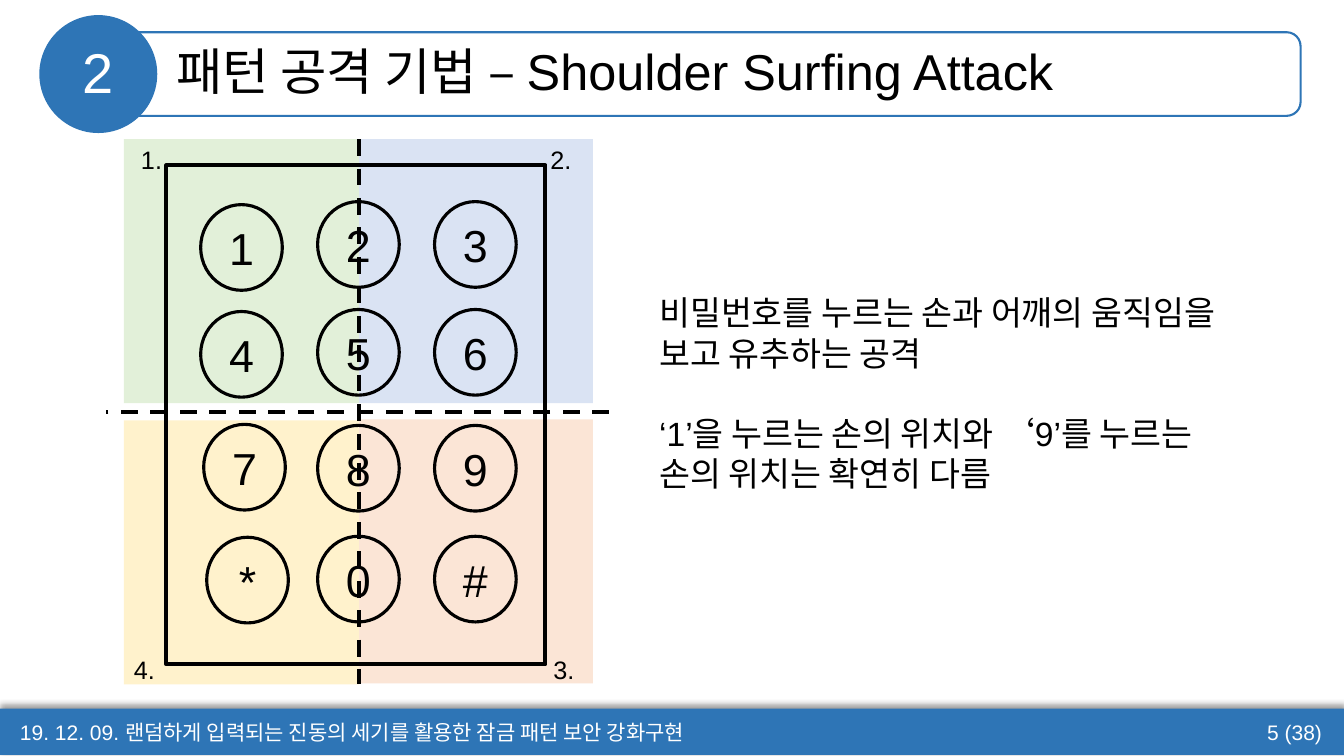
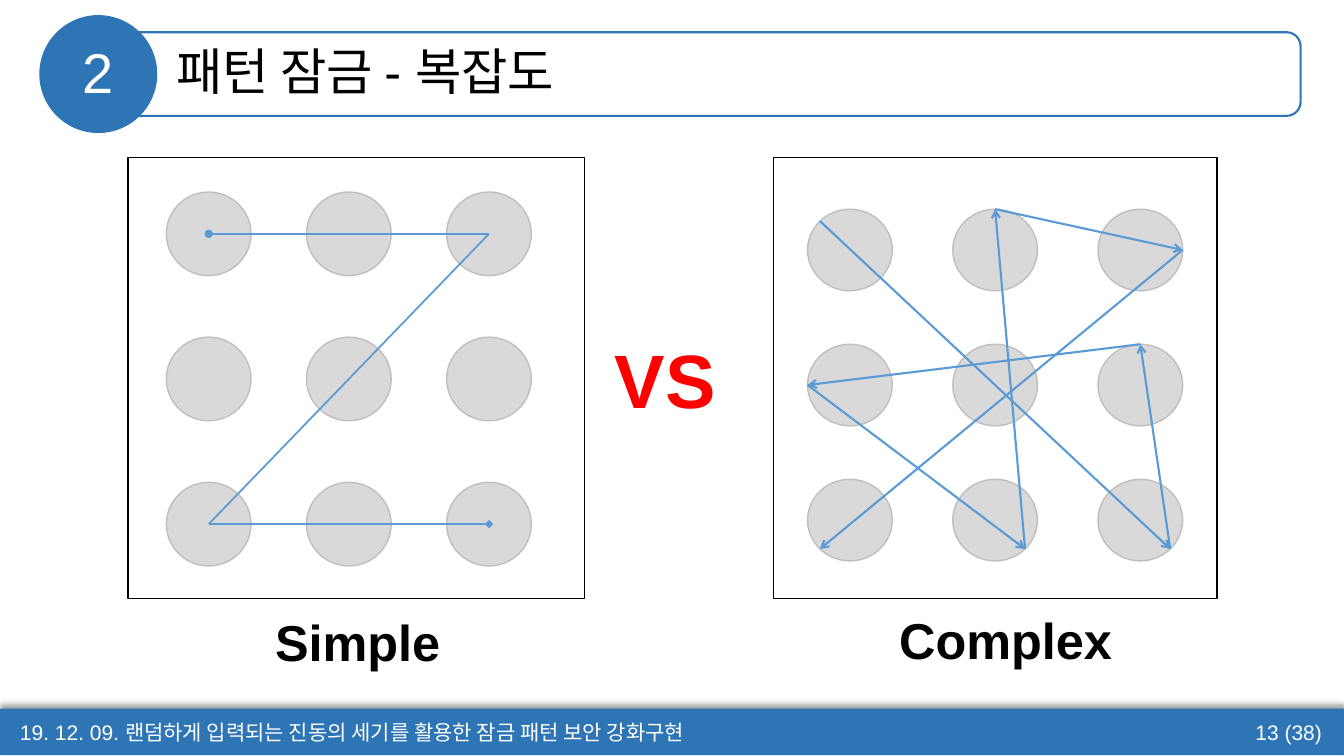
from itertools import pairwise, product
from math import cos, radians, sin

from lxml.etree import SubElement
from pptx import Presentation
from pptx.dml.color import RGBColor
from pptx.enum.dml import MSO_LINE as Dash
from pptx.enum.shapes import MSO_CONNECTOR as Link, MSO_SHAPE as Form
from pptx.enum.text import MSO_ANCHOR as Anchor, PP_ALIGN as Align
from pptx.oxml.ns import qn
from pptx.util import Inches, Pt

FONT = "Arial"
BLUE, SKY, RED = "2E75B6", "5B9BD5", "FF0000"
BLACK, WHITE, GREY, RIM = "000000", "FFFFFF", "D9D9D9", "BFBFBF"
FOOTER = "19. 12. 09. 랜덤하게 입력되는 진동의 세기를 활용한 잠금 패턴 보안 강화구현"


def color(code):
    return RGBColor.from_string(code)


class Deck:
    """Holds the shared style and the slide being filled."""

    def __init__(self):
        self.prs = Presentation()
        self.prs.slide_width, self.prs.slide_height = Inches(13.33), Inches(7.5)
        self.slide = None

    def page(self, title, part, number):
        """Start a slide with its footer band and title banner."""
        self.slide = self.prs.slides.add_slide(self.prs.slide_layouts[6])
        band = self.shape(Form.RECTANGLE, 0, 7.03, 13.33, 0.46, fill=BLUE)
        self.shade(band)
        self.text(FOOTER, 0.1, 7.09, 7.54, 0.35, 15, WHITE)
        self.text(f"{number} (38)", 9.31, 7.09, 3.9, 0.35, 15, WHITE,
                  align=Align.RIGHT)
        self.shape(Form.OVAL, 0.39, 0.15, 1.17, 1.17, fill=BLUE)
        self.shape(Form.ROUNDED_RECTANGLE, 1.13, 0.32, 11.77, 0.83,
                   line=BLUE, weight=1.5)
        self.text(part, 0.68, 0.45, 0.59, 0.59, 40, WHITE,
                  align=Align.CENTER, anchor=Anchor.MIDDLE, space=0.9)
        self.text(title, 1.65, 0.34, 11.26, 0.8, 36,
                  anchor=Anchor.MIDDLE, space=0.9)

    def shade(self, shape):
        """Cast a soft shadow upwards."""
        effects = shape._element.spPr.find(qn("a:effectLst"))
        outer = SubElement(effects, qn("a:outerShdw"), blurRad=str(Pt(4)),
                           dist=str(Pt(3)), dir="16200000", rotWithShape="0")
        tint = SubElement(outer, qn("a:srgbClr"), val=BLACK)
        SubElement(tint, qn("a:alpha"), val="40000")

    def shape(self, form, x, y, w, h, fill=None, line=None, weight=1):
        item = self.slide.shapes.add_shape(
            form, Inches(x), Inches(y), Inches(w), Inches(h))
        item.shadow.inherit = False
        if fill:
            item.fill.solid()
            item.fill.fore_color.rgb = color(fill)
        else:
            item.fill.background()
        if line:
            item.line.color.rgb = color(line)
            item.line.width = Pt(weight)
        else:
            item.line.fill.background()
        return item

    def label(self, frame, text, size, ink=BLACK, bold=False,
              align=Align.LEFT, anchor=Anchor.TOP, space=None, gap=0):
        """Fill a text frame; each line of the text is a paragraph."""
        frame.word_wrap = True
        frame.vertical_anchor = anchor
        frame.text = text
        for i, para in enumerate(frame.paragraphs):
            para.alignment = align
            if space:
                para.line_spacing = space
            if i and gap:
                para.space_before = Pt(gap)
            font = para.font
            font.name, font.size, font.bold = FONT, Pt(size), bold
            font.color.rgb = color(ink)

    def text(self, text, x, y, w, h, size, ink=BLACK, **style):
        box = self.slide.shapes.add_textbox(
            Inches(x), Inches(y), Inches(w), Inches(h))
        self.label(box.text_frame, text, size, ink, **style)

    def key(self, sign, x, y):
        item = self.shape(Form.OVAL, x, y, 0.81, 0.85, line=BLACK, weight=2.25)
        self.label(item.text_frame, sign, 32,
                   align=Align.CENTER, anchor=Anchor.MIDDLE)

    def line(self, start, end, ink, weight, dash=None, head=None, tail=None):
        item = self.slide.shapes.add_connector(
            Link.STRAIGHT, *(Inches(v) for v in (*start, *end)))
        item.line.color.rgb = color(ink)
        item.line.width = Pt(weight)
        if dash:
            item.line.dash_style = dash
        props = item._element.spPr
        for tag, kind in (("a:headEnd", head), ("a:tailEnd", tail)):
            if kind:
                SubElement(props.find(qn("a:ln")), qn(tag), type=kind)
        SubElement(props, qn("a:effectLst"))

    def dots(self, x, y, dx, dy, w, h):
        """Draw 3 x 3 dots, the first centred on (x, y)."""
        for row, col in product(range(3), repeat=2):
            self.shape(Form.OVAL, x + col * dx - w / 2, y + row * dy - h / 2,
                       w, h, fill=GREY, line=RIM)


def keypad(deck):
    deck.page("패턴 공격 기법 – Shoulder Surfing Attack", "2", 5)
    for x, y, fill in ((3.55, 4.16, "FBE5D6"), (1.23, 4.17, "FFF2CC"),
                       (3.55, 1.38, "DAE3F3"), (1.23, 1.38, "E2F0D9")):
        deck.shape(Form.RECTANGLE, x, y, 2.33, 2.62, fill=fill)
    deck.shape(Form.RECTANGLE, 1.65, 1.64, 3.76, 4.95, line=BLACK, weight=3)
    for mark, x, y in (("1.", 1.3, 1.38), ("2.", 5.36, 1.38),
                       ("3.", 5.39, 6.44), ("4.", 1.23, 6.44)):
        deck.text(mark, x, y, 0.49, 0.51, 18)

    # The left column of keys sits slightly off the grid.
    rows = (("123", 1.99, 2.03, 2), ("456", 1.99, 3.09, 3.07),
            ("789", 2.02, 4.21, 4.22), ("*0#", 2.05, 5.33, 5.32))
    for signs, left, first, top in rows:
        spots = ((left, first), (3.15, top), (4.31, top))
        for sign, spot in zip(signs, spots):
            deck.key(sign, *spot)

    deck.line((3.56, 1.38), (3.56, 6.79), BLACK, 3, Dash.DASH)
    deck.line((6.04, 4.09), (1.05, 4.09), BLACK, 3, Dash.DASH)
    deck.text("비밀번호를 누르는 손과 어깨의 움직임을 보고 유추하는 공격\n"
              "‘1’을 누르는 손의 위치와 ‘9’를 누르는\v손의 위치는 확연히 다름",
              6.44, 2.85, 6.26, 2.12, 24, gap=28.7)


def simple(deck):
    x, y, dx, dy = 2.07, 2.32, 1.39, 1.44
    deck.shape(Form.RECTANGLE, 1.27, 1.56, 4.53, 4.38, fill=WHITE, line=BLACK)
    deck.dots(x, y, dx, dy, 0.84, 0.83)
    right, low = x + 2 * dx, y + 2 * dy
    deck.line((x, y), (right, y), SKY, 1.25, head="oval")
    deck.line((x, low), (right, low), SKY, 1.25, tail="diamond")
    deck.line((right, y), (x, low), SKY, 1.25)
    deck.text("Simple", 2.63, 6.01, 2.22, 0.71, 36, bold=True)


def tangled(deck):
    x, y, dx, dy, w, h = 8.43, 2.48, 1.44, 1.34, 0.84, 0.81
    deck.shape(Form.RECTANGLE, 7.67, 1.56, 4.4, 4.38, fill=WHITE, line=BLACK)
    deck.dots(x, y, dx, dy, w, h)

    def rim(row, col, angle):
        """Point on a dot's edge, clockwise from the right."""
        turn = radians(angle)
        return (x + col * dx + w / 2 * cos(turn),
                y + row * dy + h / 2 * sin(turn))

    stops = ((0, 0, 225), (2, 2, 45), (1, 2, 270), (1, 0, 180),
             (2, 1, 45), (0, 1, 270), (0, 2, 0), (2, 0, 135))
    for start, end in pairwise(stops):
        deck.line(rim(*start), rim(*end), SKY, 1.5, tail="arrow")
    deck.text("Complex", 8.82, 5.99, 2.49, 0.71, 36, bold=True)


def main():
    deck = Deck()
    keypad(deck)
    deck.page("패턴 잠금 - 복잡도", "2", 13)
    simple(deck)
    deck.text("VS", 6, 3.25, 1.66, 1.01, 54, RED, bold=True)
    tangled(deck)
    deck.prs.save("out.pptx")


if __name__ == "__main__":
    main()
